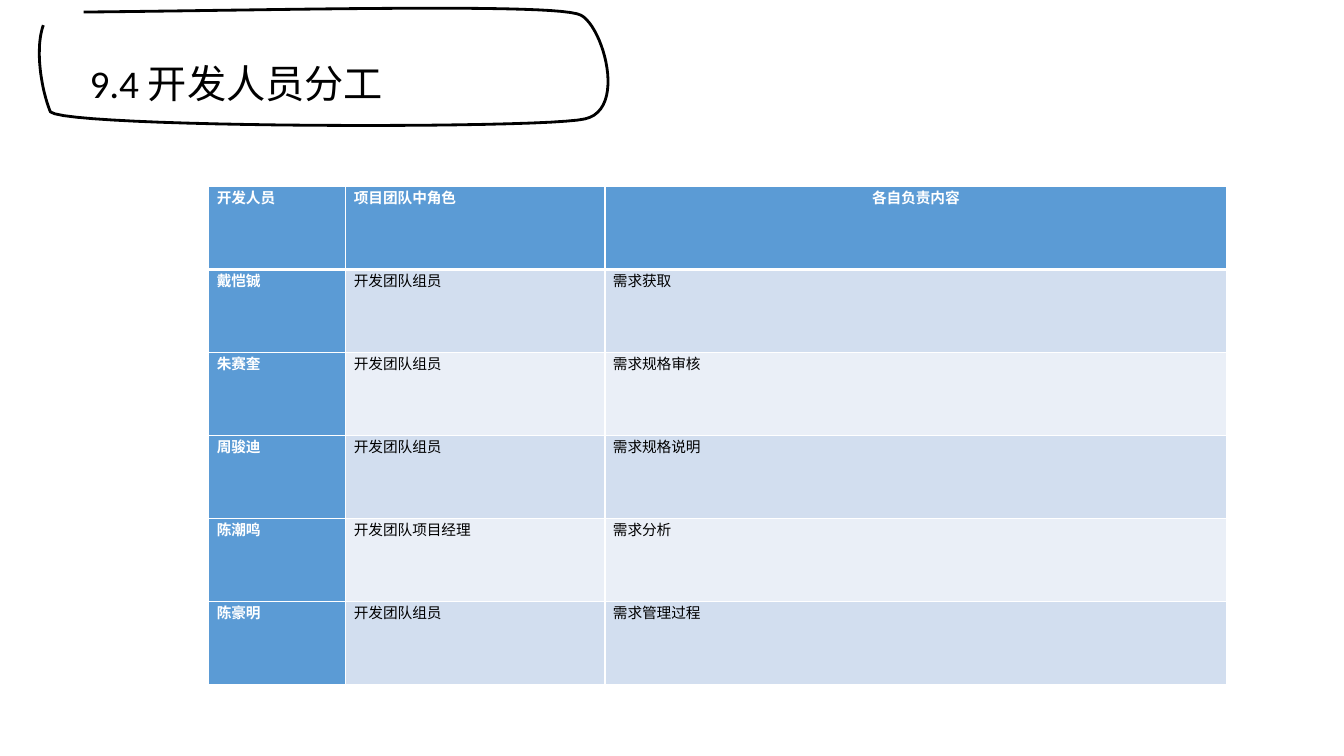
from dataclasses import dataclass
from typing import Any

from lxml.etree import SubElement
from pptx import Presentation
from pptx.dml.color import RGBColor
from pptx.enum.text import MSO_ANCHOR, MSO_AUTO_SIZE, PP_ALIGN
from pptx.oxml.ns import qn
from pptx.util import Inches, Pt

WHITE = RGBColor(0xFF, 0xFF, 0xFF)
BLACK = RGBColor(0, 0, 0)
BLUE = RGBColor(0x5B, 0x9B, 0xD5)
BANDS = (RGBColor(0xD2, 0xDE, 0xEF), RGBColor(0xEA, 0xEF, 0xF7))

Point = tuple[float, float]


@dataclass
class Curve:
    """Cubic curve: two handles and an end."""
    first: Point
    second: Point
    end: Point


@dataclass
class Duty:
    name: str
    role: str
    task: str


START = (0.83, 0.12)
CURVES = [
    Curve((2.83, 0.1), (5.54, 0.03), (5.76, 0.15)),
    Curve((5.98, 0.26), (6.22, 1.09), (5.8, 1.18)),
    Curve((5.38, 1.28), (0.67, 1.27), (0.5, 1.11)),
    Curve((0.4, 0.86), (0.35, 0.47), (0.43, 0.25)),
]
DUTIES = [
    Duty("开发人员", "项目团队中角色", "各自负责内容"),
    Duty("戴恺铖", "开发团队组员", "需求获取"),
    Duty("朱赛奎", "开发团队组员", "需求规格审核"),
    Duty("周骏迪", "开发团队组员", "需求规格说明"),
    Duty("陈潮鸣", "开发团队项目经理", "需求分析"),
    Duty("陈豪明", "开发团队组员", "需求管理过程"),
]
WIDTHS = (1.36, 2.57, 6.17)
HEIGHT = 4.94
STEPS = 24


def apply(target: Any, values: dict[str, Any]) -> None:
    for key, value in values.items():
        setattr(target, key, value)


def style(run: Any, size: float, color: RGBColor, bold: bool = False) -> None:
    apply(run.font, {"name": "Calibri", "size": Pt(size), "bold": bold})
    run.font.color.rgb = color


def trace(start: Point, curve: Curve) -> list[Point]:
    """Return points along one cubic curve, in EMU."""
    points = []
    knots = (start, curve.first, curve.second, curve.end)
    for step in range(1, STEPS + 1):
        t = step / STEPS
        u = 1 - t
        parts = (u ** 3, 3 * u * u * t, 3 * u * t * t, t ** 3)
        x = sum(part * knot[0] for part, knot in zip(parts, knots))
        y = sum(part * knot[1] for part, knot in zip(parts, knots))
        points.append((Inches(x), Inches(y)))
    return points


def draw_frame(slide: Any) -> None:
    pen = slide.shapes.build_freeform(Inches(START[0]), Inches(START[1]))
    last = START
    for curve in CURVES:
        pen.add_line_segments(trace(last, curve), close=False)
        last = curve.end
    frame = pen.convert_to_shape()
    frame.shadow.inherit = False
    frame.fill.solid()
    frame.fill.fore_color.rgb = WHITE
    frame.line.color.rgb = BLACK
    frame.line.width = Pt(2)


def draw_title(slide: Any) -> None:
    box = slide.shapes.add_textbox(
        Inches(0.79), Inches(0.07), Inches(4.84), Inches(1.51))
    apply(box.text_frame, {"word_wrap": True, "auto_size": MSO_AUTO_SIZE.NONE,
                           "vertical_anchor": MSO_ANCHOR.MIDDLE})
    run = box.text_frame.paragraphs[0].add_run()
    run.text = "9.4 开发人员分工"
    style(run, 28, BLACK)


def draw_edges(cell: Any, row: int) -> None:
    props = cell._tc.get_or_add_tcPr()
    for side in "LRTB":
        thick = (row, side) in ((0, "B"), (1, "T"))
        edge = SubElement(props, qn(f"a:ln{side}"), w=str(Pt(3 if thick else 1)))
        fill = SubElement(edge, qn("a:solidFill"))
        SubElement(fill, qn("a:srgbClr"), val=str(WHITE))


def draw_cell(cell: Any, text: str, row: int, col: int) -> None:
    head = row == 0 or col == 0
    apply(cell, {"margin_left": Inches(0.08), "margin_right": Inches(0.08),
                 "margin_top": 0, "margin_bottom": 0})
    draw_edges(cell, row)
    cell.fill.solid()
    cell.fill.fore_color.rgb = BLUE if head else BANDS[(row - 1) % 2]
    line = cell.text_frame.paragraphs[0]
    center = row == 0 and col == 2
    line.alignment = PP_ALIGN.CENTER if center else PP_ALIGN.JUSTIFY
    run = line.add_run()
    run.text = text
    style(run, 10.5, WHITE if head else BLACK, head)


def draw_table(slide: Any) -> None:
    table = slide.shapes.add_table(
        len(DUTIES), len(WIDTHS), Inches(2.07), Inches(1.85),
        Inches(sum(WIDTHS)), Inches(HEIGHT)).table
    table.first_col = True
    for column, width in zip(table.columns, WIDTHS):
        column.width = Inches(width)
    for row, duty in enumerate(DUTIES):
        table.rows[row].height = Inches(HEIGHT / len(DUTIES))
        for col, text in enumerate((duty.name, duty.role, duty.task)):
            draw_cell(table.cell(row, col), text, row, col)


def main() -> None:
    deck = Presentation()
    apply(deck, {"slide_width": Inches(13.33), "slide_height": Inches(7.5)})
    slide = deck.slides.add_slide(deck.slide_layouts[6])
    # Heading
    draw_frame(slide)
    draw_title(slide)
    # Division of work
    draw_table(slide)
    deck.save("out.pptx")


if __name__ == "__main__":
    main()
